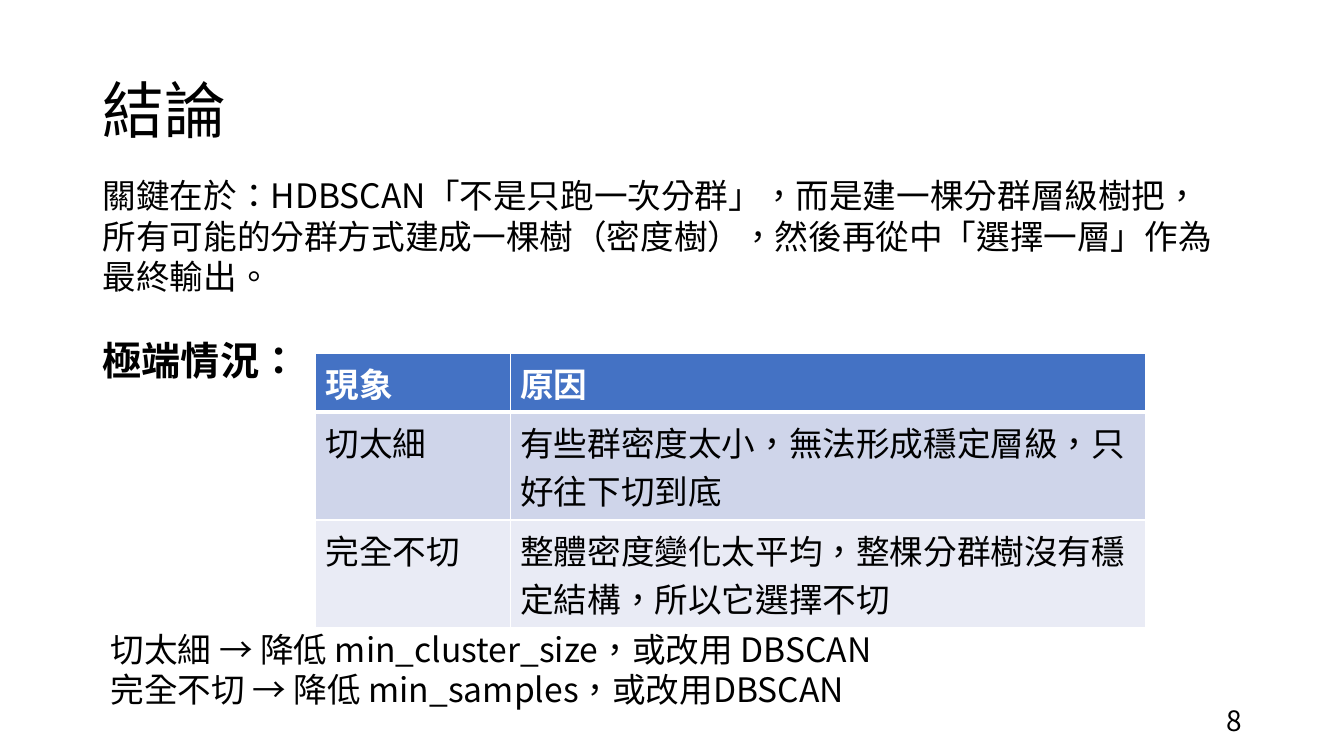
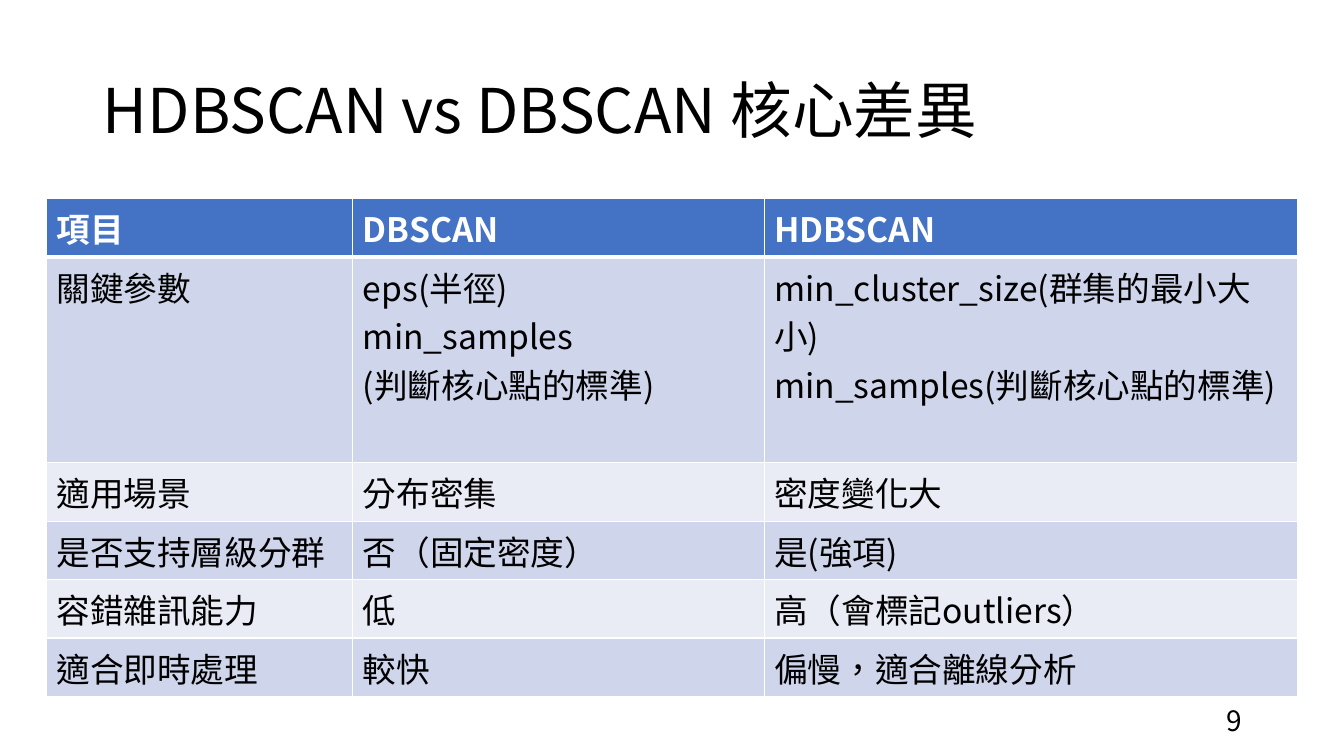
from lxml import etree
from pptx import Presentation
from pptx.dml.color import RGBColor
from pptx.enum.text import MSO_ANCHOR, PP_ALIGN
from pptx.oxml.ns import qn
from pptx.util import Inches, Pt

FONT = "Noto Sans CJK SC"
BLACK = RGBColor(0x00, 0x00, 0x00)
WHITE = RGBColor(0xFF, 0xFF, 0xFF)
BLUE = RGBColor(0x44, 0x72, 0xC4)
BANDS = (RGBColor(0xE9, 0xEB, 0xF5), RGBColor(0xCF, 0xD5, 0xEA))
LEFT, RIGHT = PP_ALIGN.LEFT, PP_ALIGN.RIGHT
TOP, MIDDLE = MSO_ANCHOR.TOP, MSO_ANCHOR.MIDDLE
TITLE_ONLY = 5
LINE = 0.58  # height of a one-line table row

EXTREMES = [
    ["現象", "原因"],
    ["切太細", "有些群密度太小，無法形成穩定層級，只好往下切到底"],
    ["完全不切", "整體密度變化太平均，整棵分群樹沒有穩定結構，所以它選擇不切"],
]
DIFFS = [
    ["項目", "DBSCAN", "HDBSCAN"],
    ["關鍵參數", "eps(半徑)\nmin_samples\n(判斷核心點的標準)",
     "min_cluster_size(群集的最小大小)\nmin_samples(判斷核心點的標準)"],
    ["適用場景", "分布密集", "密度變化大"],
    ["是否支持層級分群", "否（固定密度）", "是(強項)"],
    ["容錯雜訊能力", "低", "高（會標記outliers）"],
    ["適合即時處理", "較快", "偏慢，適合離線分析"],
]


def add_run(para, text, size=24, color=BLACK, bold=False):
    run = para.add_run()
    run.text = text
    font = run.font
    font.size, font.bold, font.name = Pt(size), bold, FONT
    font.color.rgb = color
    props = run._r.get_or_add_rPr()
    props.set("lang", "zh-TW")
    east = etree.Element(qn("a:ea"), typeface=FONT)
    props.find(qn("a:latin")).addnext(east)


def fill_text(frame, lines, spacing=None, align=LEFT, **style):
    """Write each line as a paragraph."""
    frame.word_wrap = True
    for i, line in enumerate(lines):
        para = frame.add_paragraph() if i else frame.paragraphs[0]
        para.alignment = align
        para.line_spacing = spacing
        add_run(para, line, **style)


def add_box(slide, box, lines, anchor=TOP, **style):
    frame = slide.shapes.add_textbox(*map(Inches, box)).text_frame
    fill_text(frame, lines, **style)
    frame.vertical_anchor = anchor
    return frame


def add_slide(deck, title, number):
    slide = deck.slides.add_slide(deck.slide_layouts[TITLE_ONLY])
    head = slide.shapes.title
    head.left, head.top = Inches(0.92), Inches(0.4)
    head.width, head.height = Inches(11.5), Inches(1.45)
    fill_text(head.text_frame, [title], spacing=0.9, size=44)
    head.text_frame.vertical_anchor = MIDDLE
    add_box(slide, (9.42, 6.95, 3, 0.4), [str(number)], MIDDLE,
            align=RIGHT, size=20)
    return slide


def set_edges(cell, row):
    """Draw white cell borders, thick under the header row."""
    props = cell._tc.get_or_add_tcPr()
    widths = {"L": 1, "R": 1, "T": 3 if row == 1 else 1, "B": 1 if row else 3}
    for side, width in widths.items():
        edge = etree.SubElement(props, qn("a:ln" + side), w=str(Pt(width)))
        fill = etree.SubElement(edge, qn("a:solidFill"))
        etree.SubElement(fill, qn("a:srgbClr"), val=str(WHITE))


def add_grid(slide, left, top, widths, heights, rows):
    table = slide.shapes.add_table(
        len(rows), len(widths), Inches(left), Inches(top),
        Inches(sum(widths)), Inches(sum(heights))).table
    table.horz_banding = False
    for col, width in zip(table.columns, widths):
        col.width = Inches(width)
    for r, (texts, height) in enumerate(zip(rows, heights)):
        table.rows[r].height = Inches(height)
        for c, text in enumerate(texts):
            cell = table.cell(r, c)
            set_edges(cell, r)
            cell.fill.solid()
            cell.fill.fore_color.rgb = BANDS[r % 2] if r else BLUE
            fill_text(cell.text_frame, text.split("\n"),
                      color=BLACK if r else WHITE, bold=not r)


def add_summary(deck):
    slide = add_slide(deck, "結論", 8)
    add_grid(slide, 3.13, 3.51, (1.93, 6.3), (LINE, 1.07, 1.07), EXTREMES)
    add_box(slide, (1, 6.19, 8.93, 0.91),
            ["切太細 → 降低 min_cluster_size，或改用 DBSCAN",
             "完全不切 → 降低 min_samples，或改用DBSCAN"])
    frame = add_box(
        slide, (0.92, 1.69, 11.21, 2.19),
        ["關鍵在於：HDBSCAN「不是只跑一次分群」，而是建一棵分群層級樹把，"
         "所有可能的分群方式建成一棵樹（密度樹），然後再從中「選擇一層」"
         "作為最終輸出。"])
    para = frame.add_paragraph()
    para.space_before = Pt(28.5)
    add_run(para, "極端情況：", size=28, bold=True)


def add_contrast(deck):
    slide = add_slide(deck, "HDBSCAN vs DBSCAN 核心差異", 9)
    heights = [LINE, 2.04] + [LINE] * 4
    add_grid(slide, 0.46, 1.97, (3.04, 4.08, 5.29), heights, DIFFS)


def main():
    deck = Presentation()
    deck.slide_width, deck.slide_height = Inches(13.33), Inches(7.5)
    add_summary(deck)
    add_contrast(deck)
    deck.save("out.pptx")


if __name__ == "__main__":
    main()
